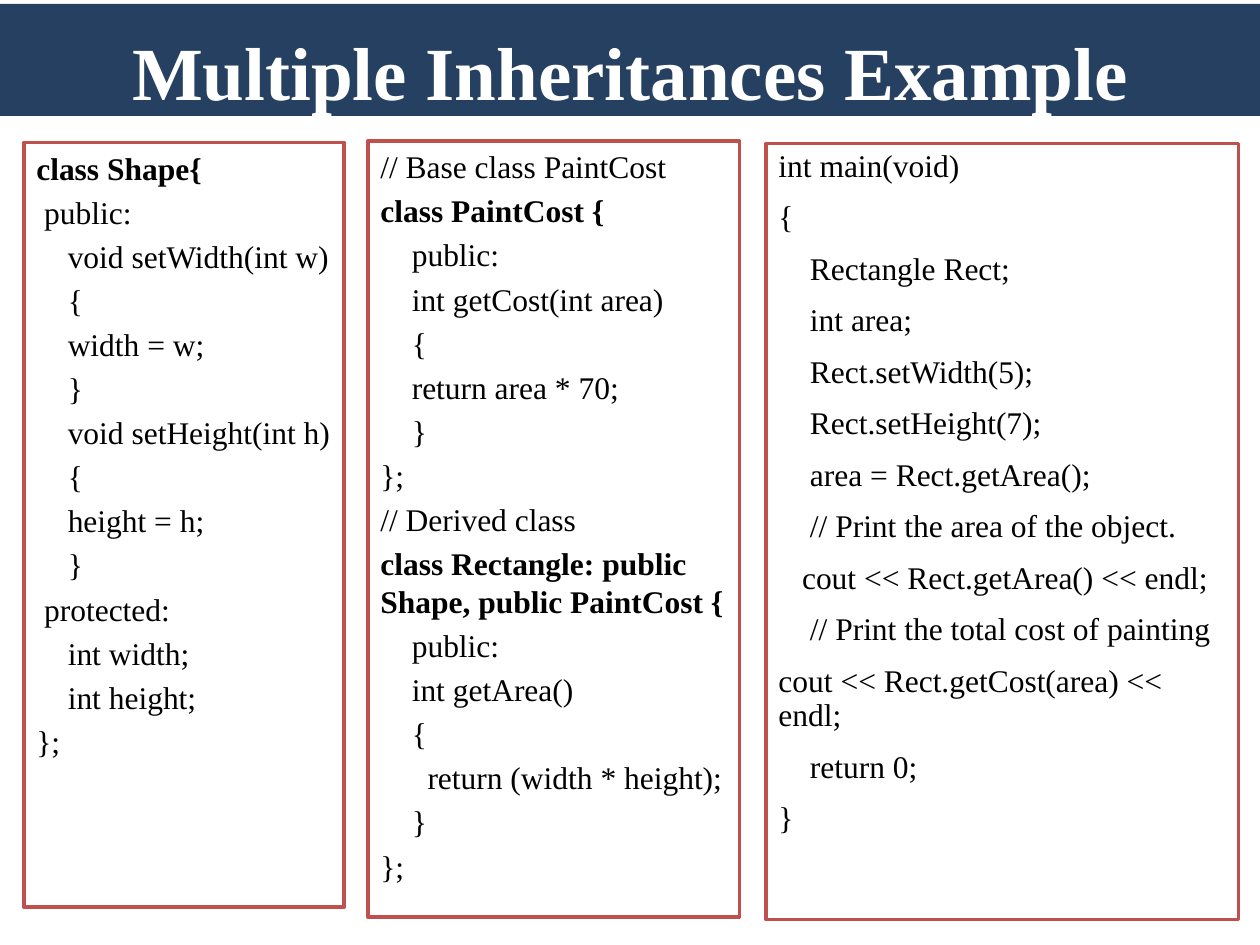
from dataclasses import dataclass

import pptx
import pptx.dml.color
import pptx.enum.shapes
import pptx.enum.text
import pptx.util

Inches = pptx.util.Inches
Pt = pptx.util.Pt
RGBColor = pptx.dml.color.RGBColor


@dataclass(frozen=True)
class Theme:
    """Colours, font and type sizes of the slide."""

    font: str = "Times New Roman"
    banner: str = "254061"
    paper: str = "FFFFFF"
    ink: str = "000000"
    border: str = "C0504D"
    border_width: float = 2
    title_size: float = 42.9
    code_size: float = 18


THEME = Theme()

SHAPE_CLASS = """class Shape{
 public:
    void setWidth(int w)
    {
    width = w;
    }
    void setHeight(int h)
    {
    height = h;
    }
 protected:
    int width;
    int height;
};"""

DERIVED_CLASS = """// Base class PaintCost
class PaintCost {
    public:
    int getCost(int area)
    {
    return area * 70;
    }
};
// Derived class
class Rectangle: public Shape, public PaintCost {
    public:
    int getArea()
    {
      return (width * height);
    }
};"""

MAIN_FUNCTION = """int main(void)
{
    Rectangle Rect;
    int area;
    Rect.setWidth(5);
    Rect.setHeight(7);
    area = Rect.getArea();
    // Print the area of the object.
   cout << Rect.getArea() << endl;
    // Print the total cost of painting
cout << Rect.getCost(area) << endl;
    return 0;
}"""


def add_panel(page, box, fill):
    """Add a flat filled rectangle in the box of left, top, width and height."""
    panel = page.shapes.add_shape(
        pptx.enum.shapes.MSO_SHAPE.RECTANGLE, *map(Inches, box)
    )
    panel.shadow.inherit = False
    panel.fill.solid()
    panel.fill.fore_color.rgb = RGBColor.from_string(fill)
    panel.text_frame.word_wrap = True
    return panel


def style_span(span, size, color, bold):
    """Give a run its font, size, colour and weight."""
    span.font.name = THEME.font
    span.font.size = Pt(size)
    span.font.bold = bold
    span.font.color.rgb = RGBColor.from_string(color)


def add_banner(page, box, title):
    """Place the title band with its text resting on the bottom edge."""
    banner = add_panel(page, box, THEME.banner)
    banner.line.fill.background()
    frame = banner.text_frame
    frame.margin_left = frame.margin_right = frame.margin_bottom = 0
    frame.margin_top = Inches(0.05)
    frame.vertical_anchor = pptx.enum.text.MSO_ANCHOR.BOTTOM
    frame.text = title
    para = frame.paragraphs[0]
    para.alignment = pptx.enum.text.PP_ALIGN.CENTER
    style_span(para.runs[0], THEME.title_size, THEME.paper, True)


def add_code(page, box, code, space, line_spacing=1.0):
    """Place a bordered code listing with its class headings in bold."""
    panel = add_panel(page, box, THEME.paper)
    panel.line.color.rgb = RGBColor.from_string(THEME.border)
    panel.line.width = Pt(THEME.border_width)
    frame = panel.text_frame
    frame.vertical_anchor = pptx.enum.text.MSO_ANCHOR.TOP
    frame.text = code
    for index, para in enumerate(frame.paragraphs):
        para.alignment = pptx.enum.text.PP_ALIGN.LEFT
        para.line_spacing = line_spacing
        para.space_before = Pt(space if index else 0)
        heading = para.text.startswith("class ")
        style_span(para.runs[0], THEME.code_size, THEME.ink, heading)


def main():
    """Build the slide and save the deck."""
    deck = pptx.Presentation()
    deck.slide_width = Inches(10)
    deck.slide_height = Inches(7.5)
    page = deck.slides.add_slide(deck.slide_layouts[6])
    add_code(page, (0.19, 1.13, 2.54, 6.07), SHAPE_CLASS, 3.6)
    add_code(page, (2.92, 1.12, 2.95, 6.16), DERIVED_CLASS, 3.6)
    add_code(page, (6.08, 1.14, 3.75, 6.16), MAIN_FUNCTION, 10, 0.9)
    add_banner(page, (0, 0.03, 10, 0.89), "Multiple Inheritances Example")
    deck.save("out.pptx")


if __name__ == "__main__":
    main()
